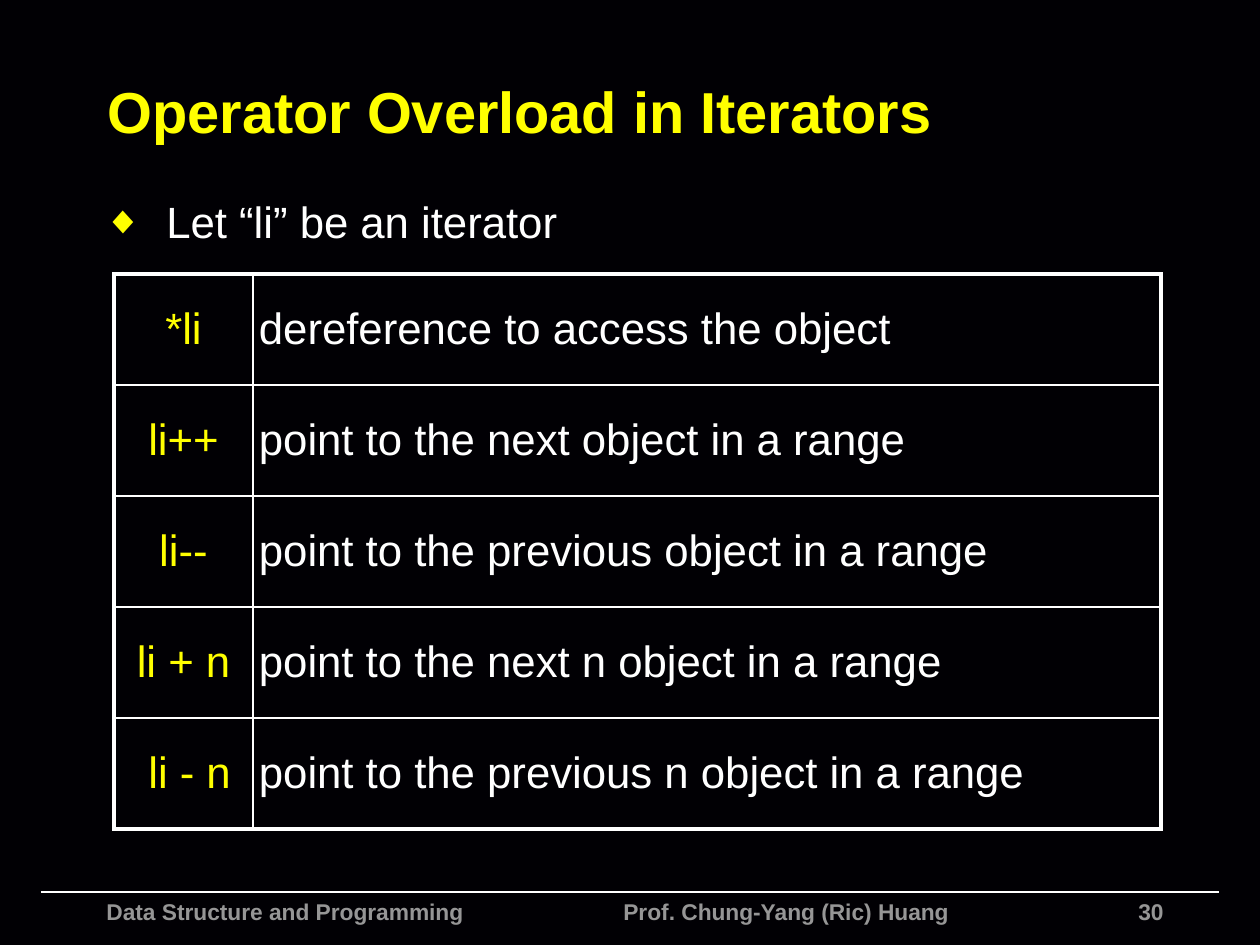
from pptx import Presentation
from pptx.dml.color import RGBColor
from pptx.enum.shapes import MSO_CONNECTOR
from pptx.enum.text import MSO_ANCHOR as Anchor, PP_ALIGN as Align
from pptx.oxml.ns import qn
from pptx.util import Emu, Pt
from lxml.etree import SubElement

FONT = "Arial"
COLORS = {"background": "010004", "accent": "FFFF00", "text": "FFFFFF", "footer": "969696"}
OPERATORS = [
    ("*li", "dereference to access the object"),
    ("li++", "point to the next object in a range"),
    ("li--", "point to the previous object in a range"),
    ("li + n", "point to the next n object in a range"),
    (" li - n", "point to the previous n object in a range"),
]
THIN, THICK = 1, 2.25


def px(pixels):
    """Turn pixels, 126 to the inch, into EMU."""
    return Emu(round(pixels * 914400 / 126))


def color(name):
    """Look up a named colour."""
    return RGBColor.from_string(COLORS[name])


def write(text_frame, text, size, color_name, bold=False, align=Align.LEFT):
    """Fill a frame with one formatted paragraph and return it."""
    text_frame.text = text
    paragraph = text_frame.paragraphs[0]
    paragraph.alignment = align
    for run in paragraph.runs:
        run.font.name = FONT
        run.font.size = Pt(size)
        run.font.bold = bold
        run.font.color.rgb = color(color_name)
    return paragraph


def add_text(slide, box, text, size, color_name, anchor=Anchor.TOP, **style):
    """Add a wrapping text box and return its paragraph."""
    text_frame = slide.shapes.add_textbox(*map(px, box)).text_frame
    text_frame.word_wrap = True
    text_frame.vertical_anchor = anchor
    return write(text_frame, text, size, color_name, **style)


def add_bullet(paragraph, character, color_name, indent):
    """Give a paragraph a coloured bullet with a hanging indent."""
    properties = paragraph._p.get_or_add_pPr()
    properties.set("marL", str(px(indent)))
    properties.set("indent", str(-px(indent)))
    bullet_color = SubElement(properties, qn("a:buClr"))
    SubElement(bullet_color, qn("a:srgbClr"), val=COLORS[color_name])
    SubElement(properties, qn("a:buSzPct"), val="90000")
    SubElement(properties, qn("a:buFont"), typeface=FONT)
    SubElement(properties, qn("a:buChar"), char=character)


def add_tab_stop(paragraph, position):
    """Set a left tab stop."""
    tabs = SubElement(paragraph._p.get_or_add_pPr(), qn("a:tabLst"))
    SubElement(tabs, qn("a:tab"), pos=str(px(position)), algn="l")


def add_rule(slide, left, right, y):
    """Draw a thin horizontal line."""
    rule = slide.shapes.add_connector(MSO_CONNECTOR.STRAIGHT, px(left), px(y), px(right), px(y))
    rule.line.color.rgb = color("text")
    rule.line.width = Pt(THIN)
    SubElement(rule._element.spPr, qn("a:effectLst"))


def set_borders(cell, widths):
    """Draw the cell borders, given as side and width in points."""
    properties = cell._tc.get_or_add_tcPr()
    for side, width in widths.items():
        line = SubElement(properties, qn(f"a:ln{side}"), w=str(Pt(width)))
        fill = SubElement(line, qn("a:solidFill"))
        SubElement(fill, qn("a:srgbClr"), val=COLORS["text"])


def add_operator_table(slide, left, top, widths, row_height, rows):
    """Add a grid with a thick frame and thin inner lines."""
    shape = slide.shapes.add_table(len(rows), len(widths), px(left), px(top),
                                   px(sum(widths)), px(row_height * len(rows)))
    table = shape.table
    table.first_row = table.horz_banding = False
    for column, width in zip(table.columns, widths):
        column.width = px(width)
    last_row, last_column = len(rows) - 1, len(widths) - 1
    styles = [("accent", Align.CENTER), ("text", Align.LEFT)]
    for r, texts in enumerate(rows):
        table.rows[r].height = px(row_height)
        for c, (text, (color_name, align)) in enumerate(zip(texts, styles)):
            cell = table.cell(r, c)
            cell.vertical_anchor = Anchor.MIDDLE
            cell.margin_left = cell.margin_right = px(6)
            cell.margin_top = cell.margin_bottom = px(6)
            outer = {"L": c == 0, "R": c == last_column, "T": r == 0, "B": r == last_row}
            set_borders(cell, {side: THICK if edge else THIN for side, edge in outer.items()})
            cell.fill.background()
            write(cell.text_frame, text, 25, color_name, align=align)


def main():
    """Build and save the slide."""
    presentation = Presentation()
    presentation.slide_width, presentation.slide_height = px(1260), px(945)
    slide = presentation.slides.add_slide(presentation.slide_layouts[6])
    slide.background.fill.solid()
    slide.background.fill.fore_color.rgb = color("background")

    add_rule(slide, 41, 1219, 892)
    add_text(slide, (777, 892, 399, 40), "30", 13, "footer", bold=True, align=Align.RIGHT)
    footer = add_text(slide, (94, 892, 912, 53),
                      "Data Structure and Programming\tProf. Chung-Yang (Ric) Huang",
                      13, "footer", bold=True)
    add_tab_stop(footer, 517)

    add_text(slide, (95, 47, 1114, 127), "Operator Overload in Iterators", 33, "accent",
             anchor=Anchor.MIDDLE, bold=True)
    intro = add_text(slide, (91, 189, 525, 70), "Let “li” be an iterator", 25, "text")
    intro.space_before = Pt(4)
    add_bullet(intro, "◆", "accent", 63)
    add_operator_table(slide, 114, 274, (139, 908), 111, OPERATORS)

    presentation.save("out.pptx")


main()
